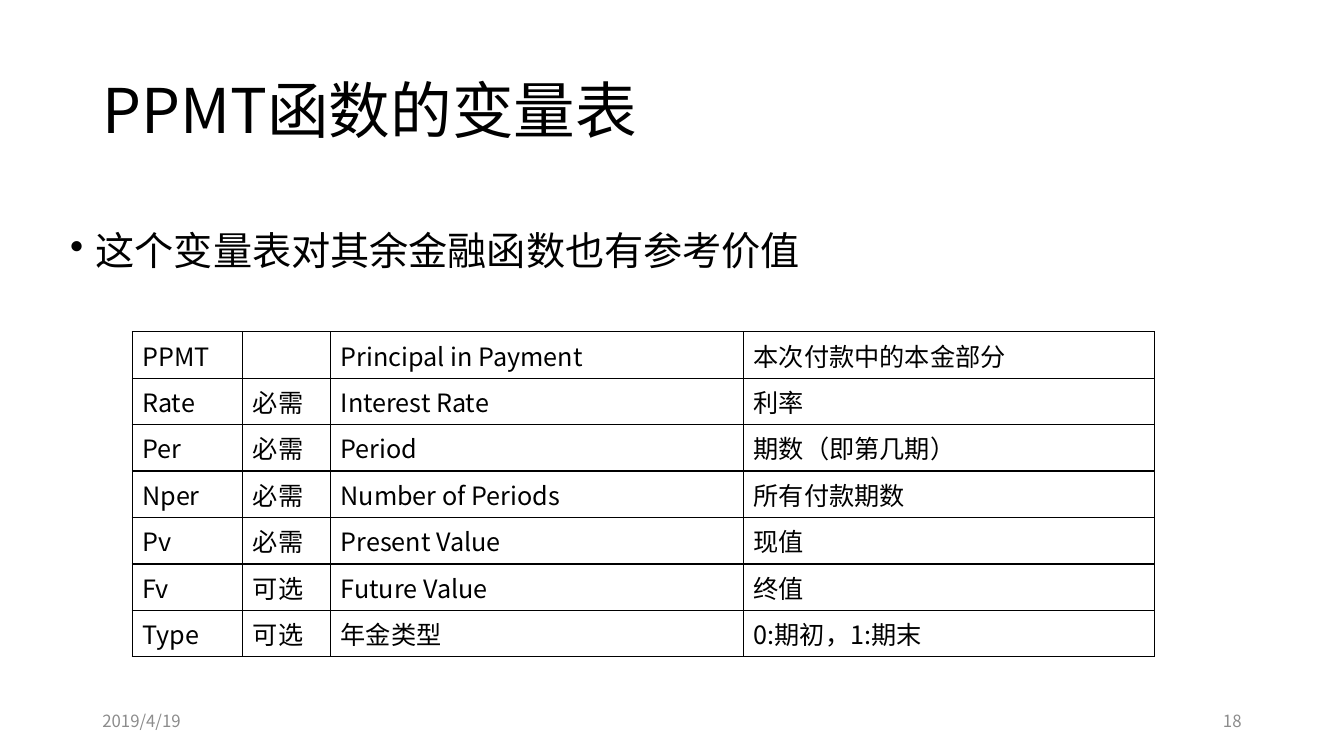
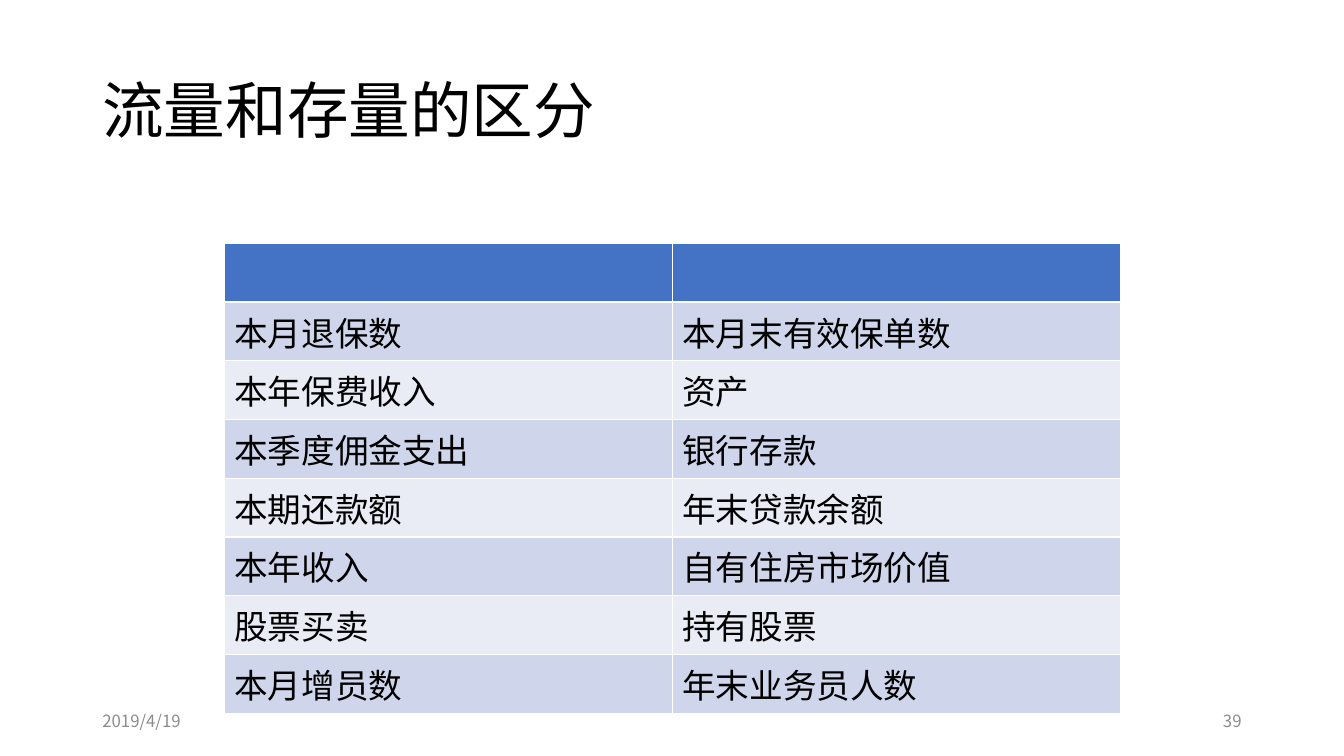
from itertools import product

from lxml.etree import SubElement
from pptx import Presentation
from pptx.dml.color import RGBColor
from pptx.enum.text import MSO_ANCHOR as Anchor, PP_ALIGN as Align
from pptx.oxml.ns import qn
from pptx.util import Cm, Pt

FONT = "Noto Sans CJK SC"
BLACK = RGBColor(0x00, 0x00, 0x00)
WHITE = RGBColor(0xFF, 0xFF, 0xFF)
GRAY = RGBColor(0x8C, 0x8C, 0x8C)
BLUE = RGBColor(0x44, 0x72, 0xC4)
BAND_DARK = RGBColor(0xCF, 0xD5, 0xEA)
BAND_LIGHT = RGBColor(0xE9, 0xEB, 0xF5)

TITLE_BOX = (2.33, 1.01, 29.21, 3.68)
BULLET_BOX = (1.52, 5.72, 30.91, 2.21)
FOOTER_BOX = (2.33, 17.65, 29.21, 1.01)
FOOTER_PART = 7.62
DATE = "2019/4/19"

PPMT_ROWS = [
    ("PPMT", "", "Principal in Payment", "本次付款中的本金部分"),
    ("Rate", "必需", "Interest Rate", "利率"),
    ("Per", "必需", "Period", "期数（即第几期）"),
    ("Nper", "必需", "Number of Periods", "所有付款期数"),
    ("Pv", "必需", "Present Value", "现值"),
    ("Fv", "可选", "Future Value", "终值"),
    ("Type", "可选", "年金类型", "0:期初，1:期末"),
]
FLOW_STOCK_ROWS = [
    ("", ""),
    ("本月退保数", "本月末有效保单数"),
    ("本年保费收入", "资产"),
    ("本季度佣金支出", "银行存款"),
    ("本期还款额", "年末贷款余额"),
    ("本年收入", "自有住房市场价值"),
    ("股票买卖", "持有股票"),
    ("本月增员数", "年末业务员人数"),
]


def style_paragraph(para, size, color=BLACK):
    font = para.font
    font.size = Pt(size)
    font.color.rgb = color
    font.name = FONT
    defaults = para._p.pPr.find(qn("a:defRPr"))
    SubElement(defaults, qn("a:ea"), typeface=FONT)


def add_text(page, box, text, size, color=BLACK, align=Align.LEFT, anchor=Anchor.MIDDLE):
    frame = page.shapes.add_textbox(*map(Cm, box)).text_frame
    frame.word_wrap = True
    frame.vertical_anchor = anchor
    para = frame.paragraphs[0]
    para.text = text
    para.alignment = align
    style_paragraph(para, size, color)
    return para


def add_title(page, box, text):
    add_text(page, box, text, 44).line_spacing = 0.9


def add_bullet(page, box, text):
    para = add_text(page, box, text, 28, anchor=Anchor.TOP)
    para.line_spacing = 0.9
    para.space_before = Pt(10)
    properties = para._p.pPr
    indent = Cm(0.64)
    properties.set("marL", str(indent))
    properties.set("indent", str(-indent))
    bullet = properties.makeelement(qn("a:buChar"), {"char": "•"})
    properties.find(qn("a:defRPr")).addprevious(bullet)


def add_footer(page, box, number):
    left, top, width, height = box
    right = left + width - FOOTER_PART
    add_text(page, (left, top, FOOTER_PART, height), DATE, 12, GRAY)
    add_text(page, (right, top, FOOTER_PART, height), number, 12, GRAY, Align.RIGHT)


def add_borders(cell, color):
    properties = cell._tc.get_or_add_tcPr()
    for side in ("lnL", "lnR", "lnT", "lnB"):
        line = SubElement(properties, qn(f"a:{side}"), w=str(Pt(1)))
        fill = SubElement(line, qn("a:solidFill"))
        SubElement(fill, qn("a:srgbClr"), val=str(color))


def add_grid(page, corner, widths, row_height, rows, size, border, fills):
    left, top = corner
    box = (left, top, sum(widths), row_height * len(rows))
    table = page.shapes.add_table(len(rows), len(widths), *map(Cm, box)).table
    table.first_row = False
    table.horz_banding = False
    for column, width in zip(table.columns, widths):
        column.width = Cm(width)
    for row in table.rows:
        row.height = Cm(row_height)
    for r, c in product(range(len(rows)), range(len(widths))):
        cell = table.cell(r, c)
        add_borders(cell, border)
        cell.fill.solid()
        cell.fill.fore_color.rgb = fills[r]
        cell.text = rows[r][c]
        style_paragraph(cell.text_frame.paragraphs[0], size)


def add_page(deck, title, number):
    page = deck.slides.add_slide(deck.slide_layouts[6])
    add_title(page, TITLE_BOX, title)
    add_footer(page, FOOTER_BOX, number)
    return page


def add_ppmt_page(deck):
    page = add_page(deck, "PPMT函数的变量表", "18")
    add_bullet(page, BULLET_BOX, "这个变量表对其余金融函数也有参考价值")
    fills = [WHITE] * len(PPMT_ROWS)
    add_grid(page, (3.33, 8.36), (2.79, 2.21, 10.41, 10.36), 1.17,
             PPMT_ROWS, 18, BLACK, fills)


def add_flow_stock_page(deck):
    page = add_page(deck, "流量和存量的区分", "39")
    bands = (BAND_LIGHT, BAND_DARK)
    fills = [BLUE] + [bands[r % 2] for r in range(1, len(FLOW_STOCK_ROWS))]
    add_grid(page, (5.65, 6.13), (11.29, 11.29), 1.48,
             FLOW_STOCK_ROWS, 24, WHITE, fills)


def main():
    deck = Presentation()
    deck.slide_width = Cm(33.87)
    deck.slide_height = Cm(19.05)
    add_ppmt_page(deck)
    add_flow_stock_page(deck)
    deck.save("out.pptx")


if __name__ == "__main__":
    main()
